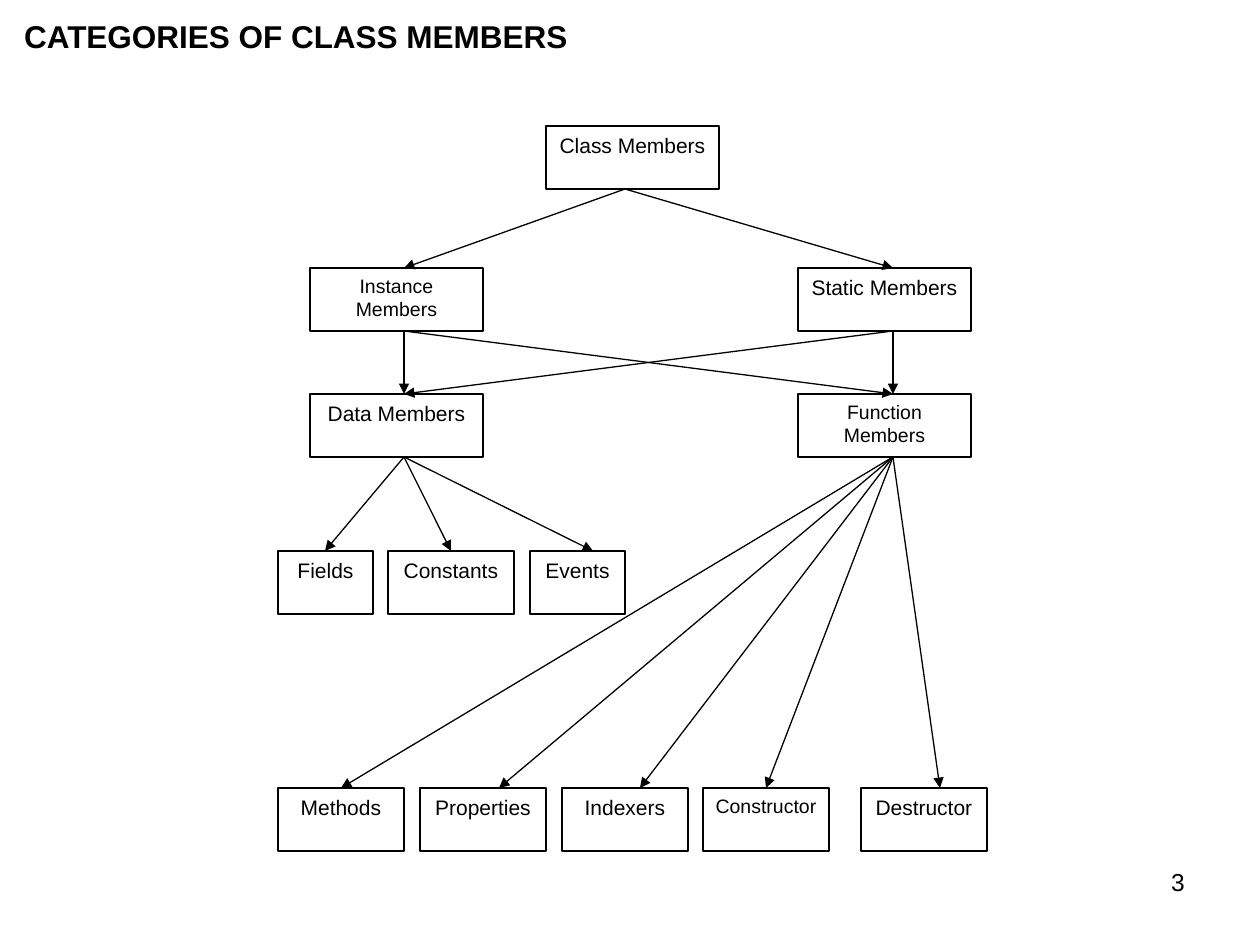
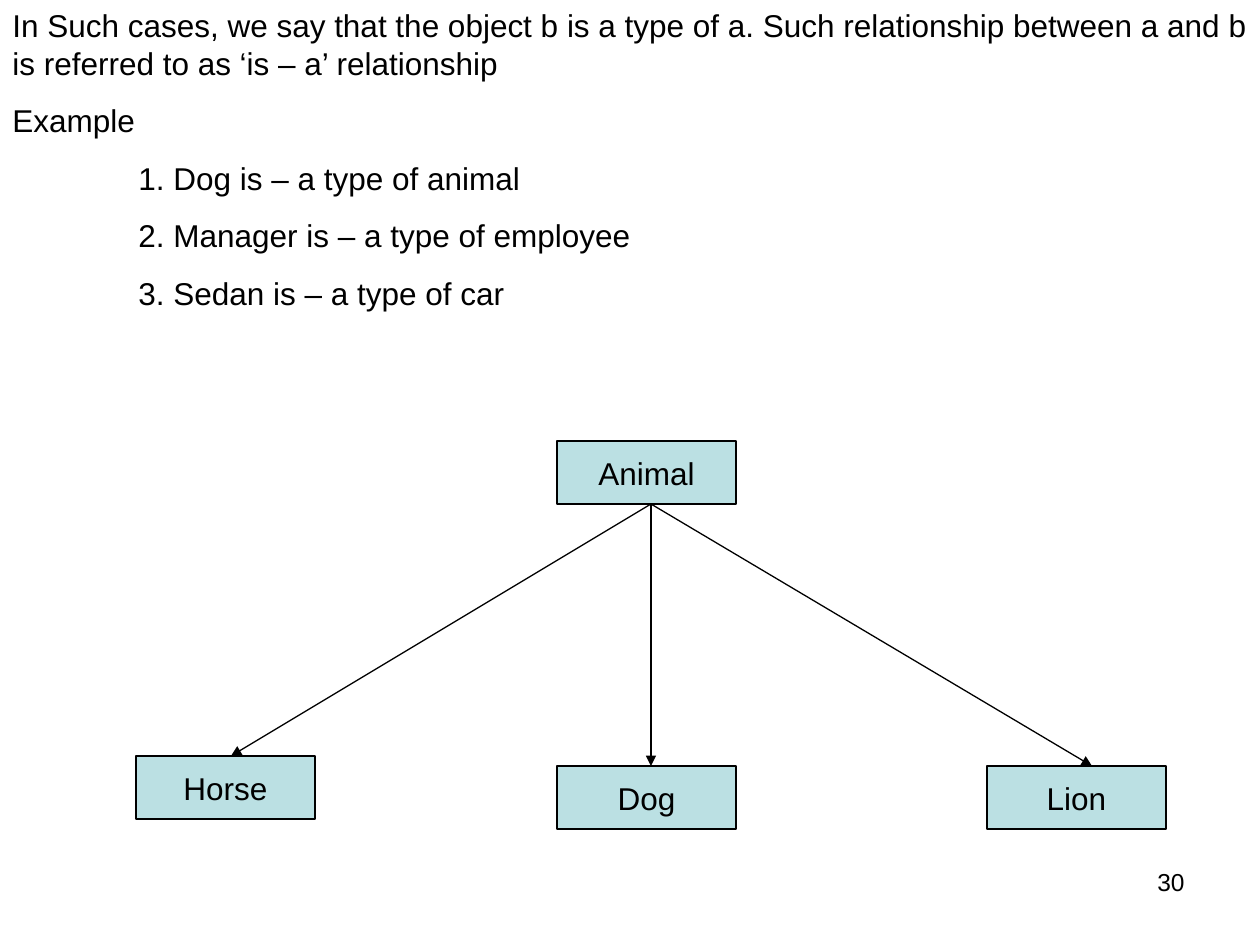
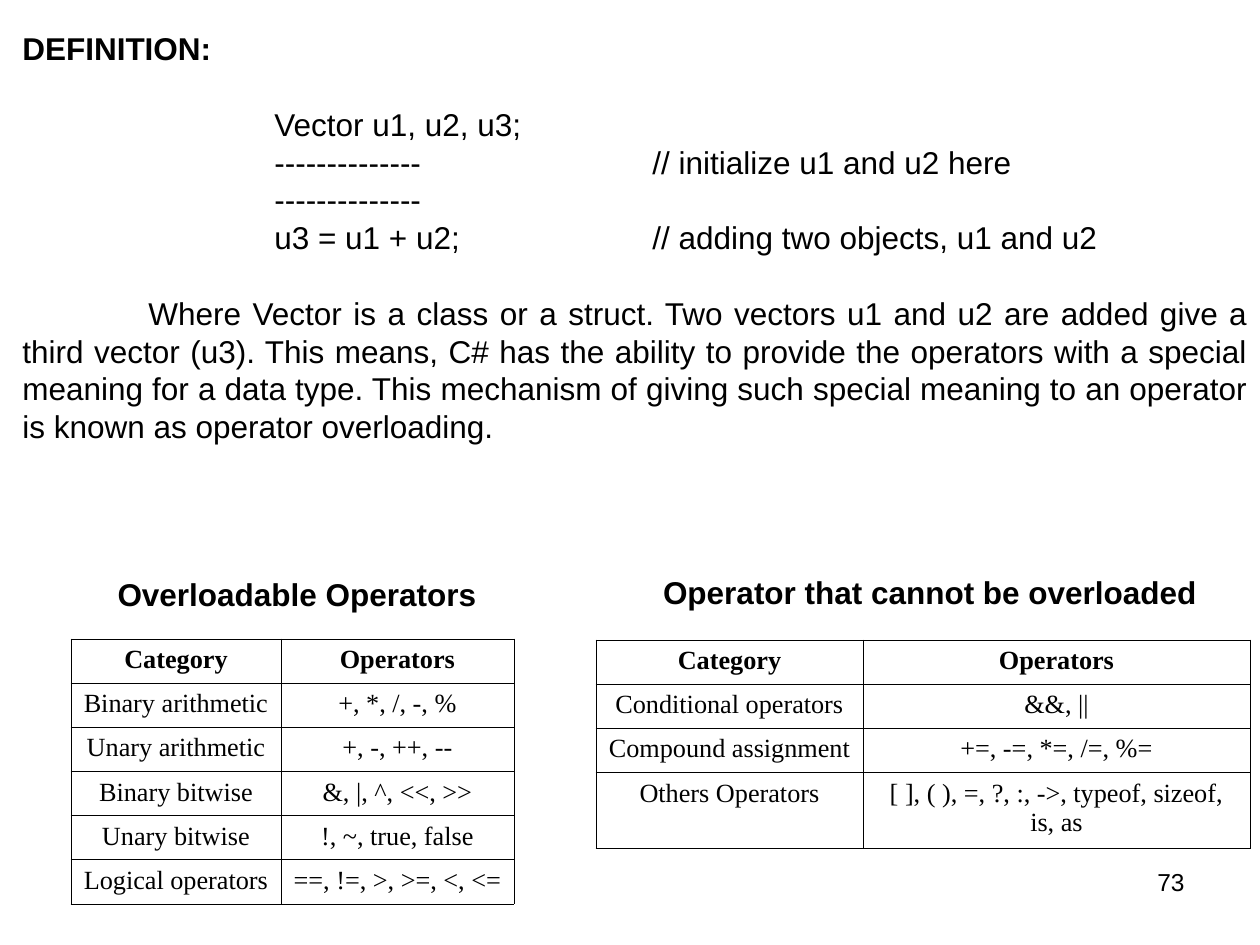
from dataclasses import dataclass
from typing import Optional

from pptx import Presentation
from pptx.dml.color import RGBColor
from pptx.enum.shapes import MSO_CONNECTOR, MSO_SHAPE
from pptx.enum.text import MSO_ANCHOR, PP_ALIGN
from pptx.oxml.ns import qn
from pptx.util import Emu, Pt
from lxml.etree import SubElement

# Shared look
PX_PER_INCH = 126
BLACK, WHITE, TEAL = "000000", "FFFFFF", "BBE0E3"
SANS, SERIF = "Arial", "Times New Roman"
BODY, LEADING = 18, 1.2
LINE = BODY * LEADING
LEFT, CENTER, RIGHT = PP_ALIGN.LEFT, PP_ALIGN.CENTER, PP_ALIGN.RIGHT
TOP, MIDDLE = MSO_ANCHOR.TOP, MSO_ANCHOR.MIDDLE
NODE_H, TAB = 63, 126


@dataclass
class Para:
    text: str
    before: float = 0
    margin: int = 0
    indent: int = 0
    bold: bool = False
    align: Optional[PP_ALIGN] = None


@dataclass
class Node:
    """Box whose arrows meet it at horizontal position port."""
    text: str
    x: int
    y: int
    w: int
    port: int
    size: float = 12


@dataclass
class Grid:
    title: str
    title_box: tuple[int, int, int, int]
    x: int
    y: int
    cols: tuple[int, ...]
    heights: tuple[int, ...]
    rows: list[tuple[str, str]]


def px(n: int) -> Emu:
    return Emu(round(n * 914400 / PX_PER_INCH))


def rgb(color: str) -> RGBColor:
    return RGBColor.from_string(color)


# Drawing helpers
def write(tf, paras, *, size=BODY, font=SANS, bold=False, align=LEFT,
          anchor=TOP, wrap=True, leading: Optional[float] = LEADING):
    if isinstance(paras, str):
        paras = [Para(paras)]
    tf.word_wrap = wrap
    tf.vertical_anchor = anchor
    for i, item in enumerate(paras):
        p = tf.add_paragraph() if i else tf.paragraphs[0]
        p.alignment = align if item.align is None else item.align
        if leading:
            p.line_spacing = Pt(size * leading)
        if item.before:
            p.space_before = Pt(item.before)
        pPr = p._p.get_or_add_pPr()
        pPr.set("marL", str(px(item.margin)))
        pPr.set("indent", str(px(item.indent)))
        pPr.set("defTabSz", str(px(TAB)))
        r = p.add_run()
        r.text = item.text
        r.font.name, r.font.size = font, Pt(size)
        r.font.bold = bold or item.bold
        r.font.color.rgb = rgb(BLACK)


def add_text(s, box: tuple[int, int, int, int], paras, **fmt):
    sp = s.shapes.add_textbox(*map(px, box))
    write(sp.text_frame, paras, **fmt)


def add_title(s, box: tuple[int, int, int, int], text: str):
    add_text(s, box, text, bold=True, align=CENTER, anchor=MIDDLE, wrap=False)


def add_node(s, node: Node, fill: str, **fmt):
    sp = s.shapes.add_shape(MSO_SHAPE.RECTANGLE, px(node.x), px(node.y),
                            px(node.w), px(NODE_H))
    sp.shadow.inherit = False
    sp.fill.solid()
    sp.fill.fore_color.rgb = rgb(fill)
    sp.line.color.rgb = rgb(BLACK)
    sp.line.width = Pt(0.75)
    write(sp.text_frame, node.text, size=node.size, align=CENTER, **fmt)


def add_arrow(s, parent: Node, child: Node):
    cx = s.shapes.add_connector(MSO_CONNECTOR.STRAIGHT,
                                px(parent.port), px(parent.y + NODE_H),
                                px(child.port), px(child.y))
    cx.line.color.rgb = rgb(BLACK)
    cx.line.width = Pt(0.75)
    SubElement(cx.line._get_or_add_ln(), qn("a:tailEnd"), type="triangle")
    SubElement(cx._element.spPr, qn("a:effectLst"))


def add_tree(s, nodes: list[Node], edges: dict[str, list[str]], fill: str, **fmt):
    by_name = {node.text: node for node in nodes}
    for node in nodes:
        add_node(s, node, fill, **fmt)
    for parent, children in edges.items():
        for child in children:
            add_arrow(s, by_name[parent], by_name[child])


def add_borders(cell):
    tcPr = cell._tc.get_or_add_tcPr()
    for i, side in enumerate(("lnL", "lnR", "lnT", "lnB")):
        ln = tcPr.makeelement(qn(f"a:{side}"), {"w": str(Pt(0.45))})
        SubElement(SubElement(ln, qn("a:solidFill")), qn("a:srgbClr"), val=BLACK)
        tcPr.insert(i, ln)


def add_grid(s, grid: Grid):
    add_title(s, grid.title_box, grid.title)
    table = s.shapes.add_table(len(grid.rows), len(grid.cols), px(grid.x), px(grid.y),
                               px(sum(grid.cols)), px(sum(grid.heights))).table
    for col, w in zip(table.columns, grid.cols):
        col.width = px(w)
    for i, (row, h) in enumerate(zip(table.rows, grid.heights)):
        row.height = px(h)
        for cell, text in zip(row.cells, grid.rows[i]):
            cell.margin_left = cell.margin_right = px(12)
            cell.margin_top = cell.margin_bottom = Pt(3.6)
            cell.fill.background()
            write(cell.text_frame, text, size=15, font=SERIF, bold=i == 0,
                  align=CENTER, leading=None)
            add_borders(cell)


def new_slide(prs, number: int):
    s = prs.slides.add_slide(prs.slide_layouts[6])
    add_text(s, (903, 861, 294, 66), str(number), size=14, align=RIGHT)
    return s


# Class members tree
def class_members(prs):
    s = new_slide(prs, 3)
    add_title(s, (6, 11, 580, 50), "CATEGORIES OF CLASS MEMBERS")
    kinds, contents, data, functions = 268, 394, 551, 788
    nodes = [
        Node("Class Members", 546, 126, 173, 625),
        Node("Instance Members", 310, kinds, 173, 404, 11.1),
        Node("Static Members", 798, kinds, 173, 893),
        Node("Data Members", 310, contents, 173, 404),
        Node("Function Members", 798, contents, 173, 893, 11.1),
        Node("Fields", 278, data, 95, 325),
        Node("Constants", 388, data, 126, 451),
        Node("Events", 530, data, 95, 593),
        Node("Methods", 278, functions, 126, 341),
        Node("Properties", 420, functions, 126, 499),
        Node("Indexers", 562, functions, 126, 640),
        Node("Constructor", 703, functions, 126, 766, 11.1),
        Node("Destructor", 861, functions, 126, 940),
    ]
    both = ["Data Members", "Function Members"]
    add_tree(s, nodes, {
        "Class Members": ["Instance Members", "Static Members"],
        "Instance Members": both,
        "Static Members": both,
        "Data Members": ["Fields", "Constants", "Events"],
        "Function Members": ["Methods", "Properties", "Indexers",
                             "Constructor", "Destructor"],
    }, WHITE)


# "Is – a" relationship
def is_a_relationship(prs):
    s = new_slide(prs, 30)
    gap = 11.2
    examples = ["1. Dog is – a type of animal", "2. Manager is – a type of employee",
                "3. Sedan is – a type of car"]
    add_text(s, (0, 0, 1260, 319), [
        Para("In Such cases, we say that the object b is a type of a. Such relationship "
             "between a and b is referred to as ‘is – a’ relationship"),
        Para("Example", before=gap),
        *(Para(text, before=gap, margin=TAB) for text in examples),
    ])
    nodes = [
        Node("Animal", 557, 441, 179, 651, BODY),
        Node("Horse", 136, 756, 179, 231, BODY),
        Node("Dog", 557, 766, 179, 651, BODY),
        Node("Lion", 987, 766, 179, 1092, BODY),
    ]
    add_tree(s, nodes, {"Animal": ["Dog", "Horse", "Lion"]}, TEAL,
             anchor=MIDDLE, wrap=False)


# Operator overloading
def operator_overloading(prs):
    s = new_slide(prs, 73)
    add_text(s, (10, 23, 1250, 428), [
        Para("DEFINITION:", bold=True),
        Para("\t\tVector u1, u2, u3;", before=LINE),
        Para("\t\t--------------\t\t// initialize u1 and u2 here"),
        Para("\t\t--------------"),
        Para("\t\tu3 = u1 + u2;\t\t// adding two objects, u1 and u2"),
        Para("Where Vector is a class or a struct. Two vectors u1 and u2 are added give "
             "a third vector (u3). This means, C# has the ability to provide the "
             "operators with a special meaning for a data type. This mechanism of giving "
             "such special meaning to an operator is known as operator overloading.",
             before=LINE, indent=TAB, align=PP_ALIGN.JUSTIFY),
    ])
    header = ("Category", "Operators")
    add_grid(s, Grid("Overloadable Operators", (97, 569, 400, 50),
                     71, 639, (210, 233), (44,) * 6, [
        header,
        ("Binary arithmetic", "+, *, /, -, %"),
        ("Unary arithmetic", "+, -, ++, --"),
        ("Binary bitwise", "&, |, ^, <<, >>"),
        ("Unary bitwise", "!, ~, true, false"),
        ("Logical operators", "==, !=, >, >=, <, <="),
    ]))
    add_grid(s, Grid("Operator that cannot be overloaded", (640, 567, 580, 50),
                     596, 640, (267, 387), (44, 44, 44, 76), [
        header,
        ("Conditional operators", "&&, ||"),
        ("Compound assignment", "+=, -=, *=, /=, %="),
        ("Others Operators", "[ ], ( ), =, ?, :, ->, typeof, sizeof, is, as"),
    ]))


def main():
    prs = Presentation()
    prs.slide_width, prs.slide_height = px(1260), px(945)
    class_members(prs)
    is_a_relationship(prs)
    operator_overloading(prs)
    prs.save("out.pptx")


if __name__ == "__main__":
    main()
